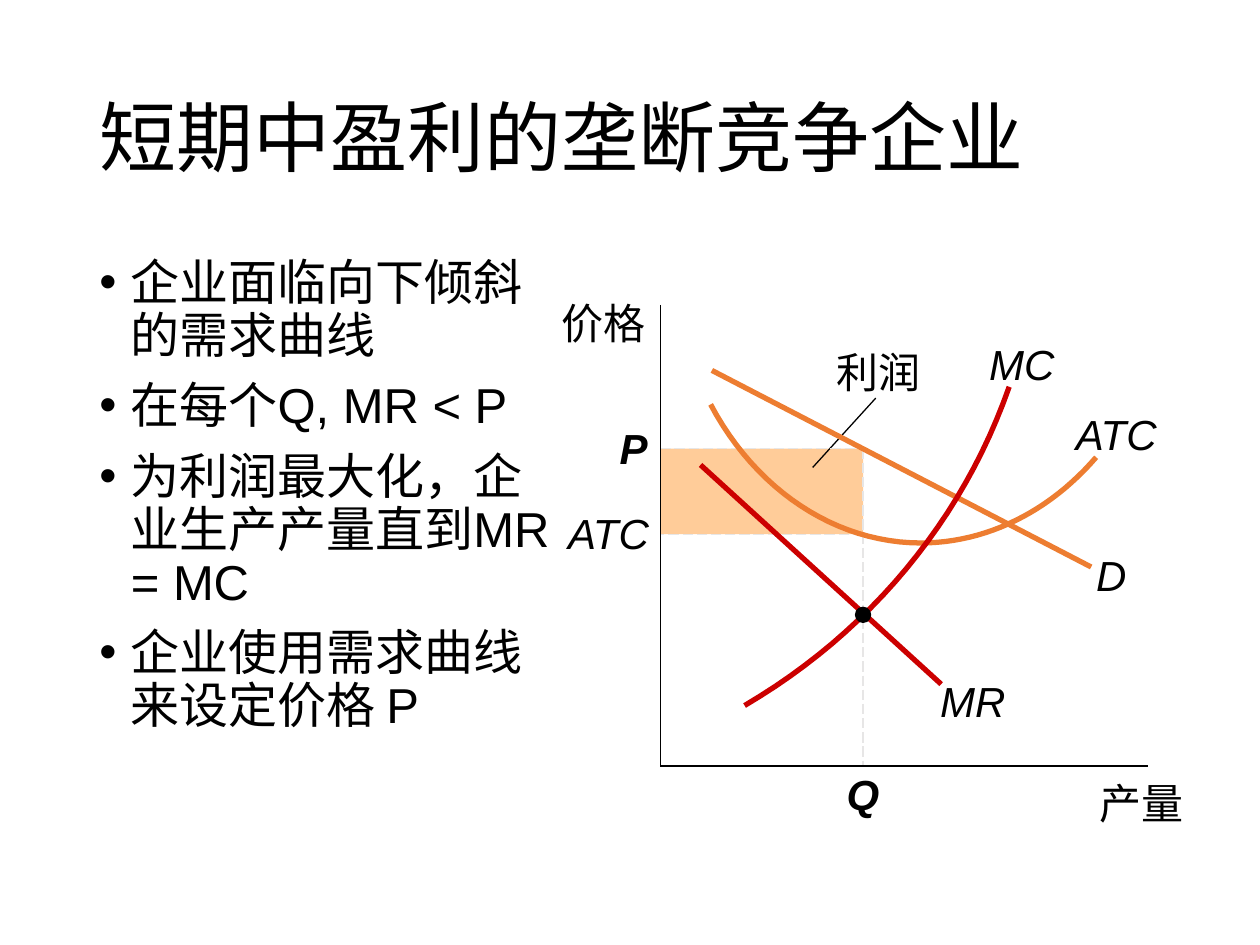
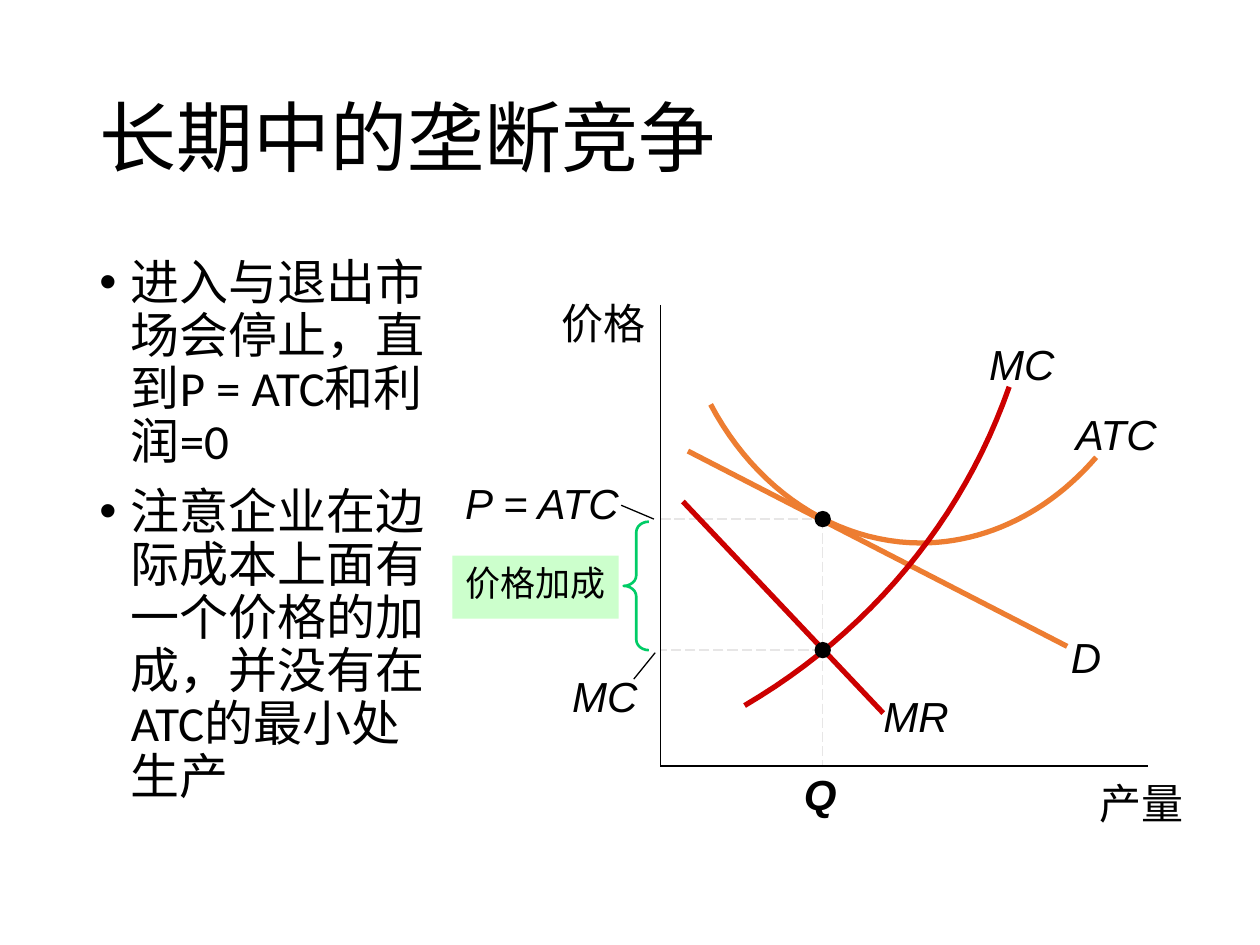
from lxml.etree import SubElement
from pptx import Presentation
from pptx.dml.color import RGBColor
from pptx.enum.dml import MSO_LINE
from pptx.enum.lang import MSO_LANGUAGE_ID
from pptx.enum.shapes import MSO_CONNECTOR, MSO_SHAPE
from pptx.enum.text import MSO_ANCHOR, PP_ALIGN
from pptx.oxml.ns import qn
from pptx.util import Inches, Pt

COLORS = {
    "ink": "000000",
    "guide": "E7E6E6",
    "demand": "ED7D31",
    "cost": "CC0000",
    "profit": "FFCC99",
    "markup": "CCFFCC",
    "brace": "00CC66",
}
WIDTH, HEIGHT = 10, 7.5
MARGIN = 0.69
LABEL_WIDTH, LABEL_HEIGHT = 1.4, 0.4

# Graph coordinates: inches right of and above the origin of the axes
ORIGIN_X, ORIGIN_Y = 5.24, 6.08
QUANTITY_AXIS, PRICE_AXIS = 3.87, 3.66
MC_CURVE = [(0.67, 0.48), (1.66, 1.06), (2.4, 1.95), (2.77, 3.01)]
ATC_CURVE = [(3.46, 2.45), (3.09, 2.02), (2.59, 1.77), (2.07, 1.77),
             (1.39, 1.77), (0.76, 2.19), (0.4, 2.87)]


def color(name):
    return RGBColor.from_string(COLORS[name])


def on_graph(quantity, price):
    return Inches(ORIGIN_X + quantity), Inches(ORIGIN_Y - price)


# Text
def write(frame, paragraphs, size=24, font="Arial", bold=False, italic=False,
          align=PP_ALIGN.LEFT, anchor=MSO_ANCHOR.TOP, inset=None,
          line_spacing=None, space_before=0, bullet=False):
    frame.word_wrap = True
    frame.vertical_anchor = anchor
    if inset is not None:
        frame.margin_left = frame.margin_right = Inches(inset)
        frame.margin_top = frame.margin_bottom = Inches(inset)
    for index, text in enumerate(paragraphs):
        paragraph = frame.add_paragraph() if index else frame.paragraphs[0]
        paragraph.alignment = align
        paragraph.line_spacing = line_spacing
        paragraph.space_before = Pt(space_before)
        run = paragraph.add_run()
        run.text = text
        run.font.size, run.font.name = Pt(size), font
        run.font.bold, run.font.italic = bold, italic
        run.font.color.rgb = color("ink")
        run.font.language_id = MSO_LANGUAGE_ID.SIMPLIFIED_CHINESE
        if bullet:
            add_bullet(paragraph)


def add_bullet(paragraph):
    properties = paragraph._p.get_or_add_pPr()
    properties.set("marL", str(Inches(0.25)))
    properties.set("indent", str(-Inches(0.25)))
    SubElement(properties, qn("a:buFont"), typeface="Arial")
    SubElement(properties, qn("a:buChar"), char="•")


def add_heading_and_points(slide, title, points, points_width, font):
    heading = slide.shapes.add_textbox(
        Inches(MARGIN), Inches(0.4), Inches(WIDTH - 2 * MARGIN), Inches(1.45))
    write(heading.text_frame, [title], size=44, font=font,
          anchor=MSO_ANCHOR.MIDDLE, line_spacing=0.9)
    body = slide.shapes.add_textbox(
        Inches(MARGIN), Inches(2), Inches(points_width), Inches(4.76))
    write(body.text_frame, points, size=28, font=font, line_spacing=0.9,
          space_before=10, bullet=True)


def add_label(slide, text, quantity, price, before=False, **text_format):
    """Centre a label on a point, or end it there when before is set."""
    left = quantity - LABEL_WIDTH * (1 if before else 0.5)
    box = slide.shapes.add_textbox(
        *on_graph(left, price + LABEL_HEIGHT / 2),
        Inches(LABEL_WIDTH), Inches(LABEL_HEIGHT))
    write(box.text_frame, [text], inset=0,
          align=PP_ALIGN.RIGHT if before else PP_ALIGN.CENTER, **text_format)


# Lines and shapes
def add_line(slide, start, end, ink="ink", weight=0.75, dash=None):
    line = slide.shapes.add_connector(
        MSO_CONNECTOR.STRAIGHT, *on_graph(*start), *on_graph(*end))
    line.line.color.rgb = color(ink)
    line.line.width = Pt(weight)
    if dash:
        line.line.dash_style = dash
    SubElement(line._element.spPr, qn("a:effectLst"))


def add_guides(slide, *points):
    for start, end in zip(points, points[1:]):
        add_line(slide, start, end, "guide", dash=MSO_LINE.LONG_DASH)


def style_shape(shape, fill=None, ink=None, weight=0.75):
    shape.shadow.inherit = False
    if fill:
        shape.fill.solid()
        shape.fill.fore_color.rgb = color(fill)
    else:
        shape.fill.background()
    if ink:
        shape.line.color.rgb = color(ink)
        shape.line.width = Pt(weight)
    else:
        shape.line.fill.background()


def add_graph_shape(slide, kind, left, top, width, height, **style):
    shape = slide.shapes.add_shape(
        kind, *on_graph(left, top), Inches(width), Inches(height))
    style_shape(shape, **style)
    return shape


def add_dot(slide, quantity, price, radius=0.065):
    add_graph_shape(slide, MSO_SHAPE.OVAL, quantity - radius, price + radius,
                    2 * radius, 2 * radius, fill="ink")


def bezier(controls, t):
    weights = ((1 - t) ** 3, 3 * t * (1 - t) ** 2, 3 * t * t * (1 - t), t ** 3)
    return tuple(sum(w * point[axis] for w, point in zip(weights, controls))
                 for axis in (0, 1))


def add_curve(slide, controls, ink, steps=24):
    points = [bezier(controls[first:first + 4], step / steps)
              for first in range(0, len(controls) - 1, 3)
              for step in range(1, steps + 1)]
    builder = slide.shapes.build_freeform(*on_graph(*controls[0]), scale=1.0)
    builder.add_line_segments([on_graph(*p) for p in points], close=False)
    style_shape(builder.convert_to_shape(), ink=ink, weight=3)


# Parts of the graph that both slides share
def add_axes(slide):
    add_line(slide, (0, PRICE_AXIS), (0, 0))
    add_line(slide, (0, 0), (QUANTITY_AXIS, 0))
    add_label(slide, "产量", 4.15, -0.29, before=True)
    add_label(slide, "价格", -0.12, 3.52, before=True)


def add_market(slide, demand, demand_label, revenue, revenue_label, output):
    add_axes(slide)
    add_curve(slide, ATC_CURVE, "demand")
    add_line(slide, *demand, "demand", 3)
    add_line(slide, *revenue, "cost", 3)
    add_curve(slide, MC_CURVE, "cost")
    for text, place in (("ATC", (3.62, 2.64)), ("MC", (2.87, 3.19)),
                        ("D", demand_label), ("MR", revenue_label)):
        add_label(slide, text, *place, italic=True)
    add_label(slide, "Q", output, -0.22, bold=True, italic=True)


def build_short_run(slide):
    add_heading_and_points(
        slide, "短期中盈利的垄断竞争企业",
        ["企业面临向下倾斜的需求曲线", "在每个Q, MR < P",
         "为利润最大化，企业生产产量直到MR = MC",
         "企业使用需求曲线来设定价格 P"], 3.81, "Arial")
    output, price, average_cost, marginal_cost = 1.61, 2.52, 1.84, 1.2

    # Profit area
    add_graph_shape(slide, MSO_SHAPE.RECTANGLE, 0, price, output,
                    price - average_cost, fill="profit")
    add_label(slide, "利润", 1.73, 3.13)
    add_line(slide, (1.21, 2.37), (1.71, 2.92))

    add_guides(slide, (output, average_cost), (0, average_cost))
    add_guides(slide, (0, price), (output, price), (output, 0))
    add_label(slide, "ATC", -0.09, 1.85, before=True, italic=True)
    add_label(slide, "P", -0.1, 2.53, before=True, bold=True, italic=True)
    add_market(slide, ((0.41, 3.14), (3.42, 1.58)), (3.58, 1.52),
               ((0.32, 2.39), (2.23, 0.65)), (2.48, 0.52), output)
    add_dot(slide, output, marginal_cost)


def build_long_run(slide):
    add_heading_and_points(
        slide, "长期中的垄断竞争",
        ["进入与退出市场会停止，直到P = ATC和利润=0",
         "注意企业在边际成本上面有一个价格的加成，并没有在ATC的最小处生产"],
        2.81, "Calibri")
    output, price, marginal_cost = 1.29, 1.96, 0.92

    add_guides(slide, (output, marginal_cost), (0, marginal_cost))
    add_guides(slide, (0, price), (output, price), (output, 0))
    add_market(slide, ((0.22, 2.5), (3.23, 0.95)), (3.38, 0.87),
               ((0.18, 2.1), (1.77, 0.42)), (2.03, 0.4), 1.27)
    add_dot(slide, output, marginal_cost)
    add_dot(slide, output, price)

    # Price and cost labels with their leaders
    add_label(slide, "MC", -0.18, 0.56, before=True, italic=True)
    add_label(slide, "P = ATC", -0.33, 2.09, before=True, italic=True)
    add_line(slide, (-0.31, 2.07), (-0.05, price))
    add_line(slide, (-0.04, 0.9), (-0.21, 0.69))

    # Markup over marginal cost
    brace = add_graph_shape(slide, MSO_SHAPE.LEFT_BRACE, -0.29, 1.94, 0.2, 1.02,
                            ink="brace", weight=1.5)
    brace.adjustments[0] = 0.42
    markup = add_graph_shape(slide, MSO_SHAPE.RECTANGLE, -1.65, 1.67, 1.32, 0.5,
                             fill="markup")
    write(markup.text_frame, ["价格加成"], size=20, align=PP_ALIGN.CENTER)


def main():
    deck = Presentation()
    deck.slide_width, deck.slide_height = Inches(WIDTH), Inches(HEIGHT)
    for build in (build_short_run, build_long_run):
        build(deck.slides.add_slide(deck.slide_layouts[6]))
    deck.save("out.pptx")


if __name__ == "__main__":
    main()
